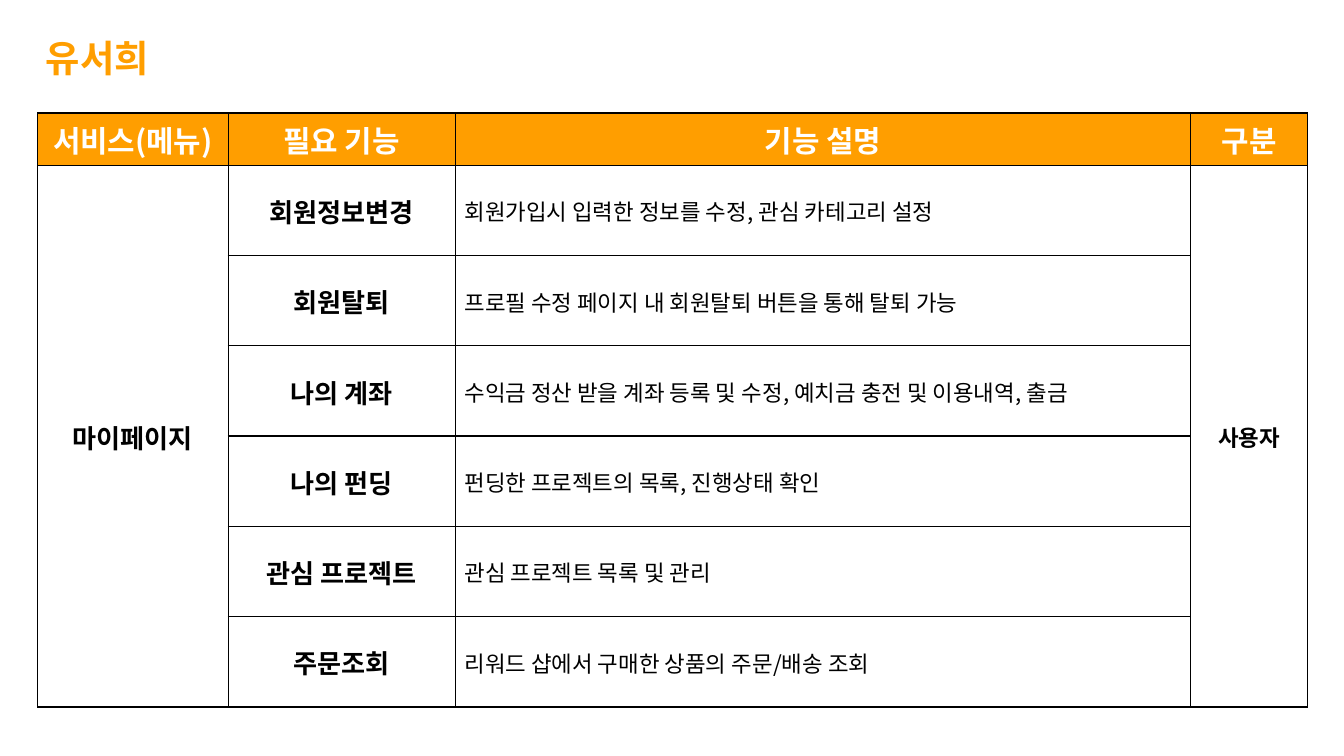
import pptx
import pptx.dml.color
import pptx.enum.shapes
import pptx.enum.text
import pptx.oxml
import pptx.oxml.ns
import pptx.util

# Content
TITLE = "유서희"
HEADERS = ["서비스(메뉴)", "필요 기능", "기능 설명", "구분"]
SERVICE, USER = "마이페이지", "사용자"
FEATURES = [
    ("회원정보변경", "회원가입시 입력한 정보를 수정, 관심 카테고리 설정"),
    ("회원탈퇴", "프로필 수정 페이지 내 회원탈퇴 버튼을 통해 탈퇴 가능"),
    ("나의 계좌", "수익금 정산 받을 계좌 등록 및 수정, 예치금 충전 및 이용내역, 출금"),
    ("나의 펀딩", "펀딩한 프로젝트의 목록, 진행상태 확인"),
    ("관심 프로젝트", "관심 프로젝트 목록 및 관리"),
    ("주문조회", "리워드 샵에서 구매한 상품의 주문/배송 조회"),
]

# Format
FONT = "Noto Sans CJK KR"
ORANGE, WHITE, BLACK, GREY = "FF9E00", "FFFFFF", "000000", "434343"
WIDTH = 10
HEIGHT = WIDTH * 9 / 16
TABLE_LEFT, TABLE_TOP, TABLE_WIDTH, TABLE_HEIGHT = 0.28, 0.84, 9.45, 4.42
COLUMN_SHARES = [1.42, 1.69, 5.48, 0.87]
HEADER_HEIGHT = 0.39
BORDER = 0.75
LEFT, CENTER = pptx.enum.text.PP_ALIGN.LEFT, pptx.enum.text.PP_ALIGN.CENTER
STYLES = {
    "title": {"size": 20, "bold": True, "color": ORANGE, "align": LEFT},
    "header": {"size": 16, "bold": True, "color": WHITE, "align": CENTER},
    "name": {"size": 14, "bold": True, "color": BLACK, "align": CENTER},
    "description": {"size": 12, "bold": False, "color": BLACK, "align": LEFT},
    "user": {"size": 12, "bold": True, "color": BLACK, "align": CENTER},
}
inches = pptx.util.Inches


def paint(color_format, color):
    color_format.rgb = pptx.dml.color.RGBColor.from_string(color)


def fill_solid(fill, color):
    fill.solid()
    paint(fill.fore_color, color)


def write(text_frame, text, style_name):
    style = STYLES[style_name]
    paragraph = text_frame.paragraphs[0]
    paragraph.alignment = style["align"]
    run = paragraph.add_run()
    run.text = text
    paint(run.font.color, style["color"])
    settings = {"name": FONT, "size": pptx.util.Pt(style["size"]), "bold": style["bold"]}
    for name, value in settings.items():
        setattr(run.font, name, value)
    # Hangul takes the East Asian typeface, without kerning
    east_asian = pptx.oxml.parse_xml(
        f'<a:ea {pptx.oxml.ns.nsdecls("a")} typeface="{FONT}"/>')
    run.font._element.append(east_asian)
    run.font._element.set("kern", "0")


def add_borders(cell):
    properties = cell._tc.get_or_add_tcPr()
    for index, side in enumerate(("lnL", "lnR", "lnT", "lnB")):
        properties.insert(index, pptx.oxml.parse_xml(
            f'<a:{side} {pptx.oxml.ns.nsdecls("a")} w="{pptx.util.Pt(BORDER)}">'
            f'<a:solidFill><a:srgbClr val="{BLACK}"/></a:solidFill></a:{side}>'))


def fill_cell(cell, text, style_name):
    margin_left = 0.07 if style_name == "description" else 0.01
    settings = {
        "margin_left": inches(margin_left), "margin_right": inches(0.01),
        "margin_top": inches(0.01), "margin_bottom": 0,
        "vertical_anchor": pptx.enum.text.MSO_ANCHOR.MIDDLE,
    }
    for name, value in settings.items():
        setattr(cell, name, value)
    if text:
        write(cell.text_frame, text, style_name)
    if style_name == "header":
        fill_solid(cell.fill, ORANGE)
    else:
        cell.fill.background()
    add_borders(cell)


presentation = pptx.Presentation()
presentation.slide_width, presentation.slide_height = inches(WIDTH), inches(HEIGHT)
slide = presentation.slides.add_slide(presentation.slide_layouts[5])
fill_solid(slide.background.fill, GREY)

# Title
title = slide.shapes.title
title.left, title.top, title.width, title.height = map(inches, (0.24, 0.21, 1.22, 0.44))
title.text_frame.auto_size = pptx.enum.text.MSO_AUTO_SIZE.SHAPE_TO_FIT_TEXT
title.text_frame.vertical_anchor = pptx.enum.text.MSO_ANCHOR.TOP
write(title.text_frame, TITLE, "title")

# White page behind the title
page = slide.shapes.add_shape(
    pptx.enum.shapes.MSO_SHAPE.RECTANGLE, 0, 0, inches(WIDTH), inches(HEIGHT))
page.shadow.inherit = False
fill_solid(page.fill, WHITE)
page.line.fill.background()
title.element.addprevious(page.element)

# Feature table: columns by share, equal rows below the header
table = slide.shapes.add_table(
    len(FEATURES) + 1, len(HEADERS), inches(TABLE_LEFT), inches(TABLE_TOP),
    inches(TABLE_WIDTH), inches(TABLE_HEIGHT)).table
table.first_row = table.horz_banding = False
for column, share in zip(table.columns, COLUMN_SHARES):
    column.width = inches(TABLE_WIDTH * share / sum(COLUMN_SHARES))
feature_height = (TABLE_HEIGHT - HEADER_HEIGHT) / len(FEATURES)
for row_index, row in enumerate(table.rows):
    row.height = inches(feature_height if row_index else HEADER_HEIGHT)
for column_index in (0, len(HEADERS) - 1):
    table.cell(1, column_index).merge(table.cell(len(FEATURES), column_index))

for column_index, header in enumerate(HEADERS):
    fill_cell(table.cell(0, column_index), header, "header")
body_styles = ("name", "name", "description", "user")
for row_index, (feature, description) in enumerate(FEATURES, start=1):
    first = row_index == 1
    texts = (SERVICE if first else "", feature, description, USER if first else "")
    for column_index, (text, style_name) in enumerate(zip(texts, body_styles)):
        fill_cell(table.cell(row_index, column_index), text, style_name)

presentation.save("out.pptx")
